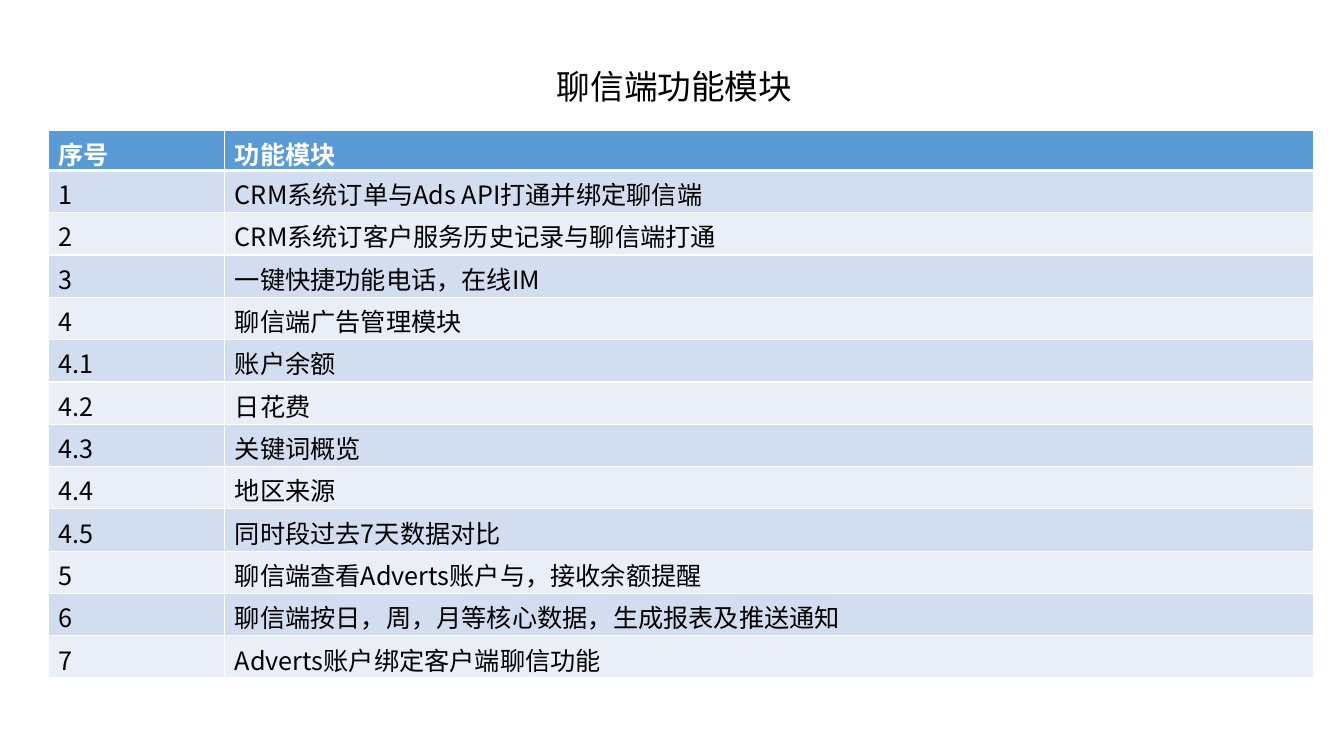
from dataclasses import dataclass

from lxml import etree
from pptx import Presentation, util as u
from pptx.dml.color import RGBColor
from pptx.enum import text
from pptx.oxml.ns import qn

FONT = "Noto Sans CJK SC"
WHITE = RGBColor(0xFF, 0xFF, 0xFF)
BLACK = RGBColor(0, 0, 0)
HEADER_BLUE = RGBColor(0x5B, 0x9B, 0xD5)
BANDS = (RGBColor(0xD2, 0xDE, 0xEF), RGBColor(0xEA, 0xEF, 0xF7))

COLUMN_WIDTHS = (1.75, 10.8)
HEADER_HEIGHT, ROW_HEIGHT = 0.33, 0.42


@dataclass
class Module:
    number: str
    name: str


@dataclass
class RowStyle:
    fill: RGBColor
    color: RGBColor
    bold: bool = False
    bottom: float = 1
    top: float = 1


HEADER = Module("序号", "功能模块")
MODULES = [
    Module("1", "CRM系统订单与Ads API打通并绑定聊信端"),
    Module("2", "CRM系统订客户服务历史记录与聊信端打通"),
    Module("3", "一键快捷功能电话，在线IM"),
    Module("4", "聊信端广告管理模块"),
    Module("4.1", "账户余额"),
    Module("4.2", "日花费"),
    Module("4.3", "关键词概览"),
    Module("4.4", "地区来源"),
    Module("4.5", "同时段过去7天数据对比"),
    Module("5", "聊信端查看Adverts账户与，接收余额提醒"),
    Module("6", "聊信端按日，周，月等核心数据，生成报表及推送通知"),
    Module("7", "Adverts账户绑定客户端聊信功能"),
]


def write(tf, words: str, size: float, color: RGBColor, bold: bool = False):
    """Fill the first paragraph and set its Latin and East Asian font."""
    p = tf.paragraphs[0]
    p.text = words
    p.font.size = u.Pt(size)
    p.font.bold = bold
    p.font.color.rgb = color
    p.font.name = FONT
    props = p._p.get_or_add_pPr().get_or_add_defRPr()
    etree.SubElement(props, qn("a:ea"), typeface=FONT)
    return p


def add_border(cell, side: str, width: float) -> None:
    line = etree.SubElement(cell._tc.get_or_add_tcPr(), qn(f"a:ln{side}"),
                            w=str(u.Pt(width)))
    fill = etree.SubElement(line, qn("a:solidFill"))
    etree.SubElement(fill, qn("a:srgbClr"), val=str(WHITE))


def fill_row(row, module: Module, style: RowStyle) -> None:
    for cell, words in zip(row.cells, (module.number, module.name)):
        write(cell.text_frame, words, 18, style.color, style.bold)
        for side, width in (("L", 1), ("R", 1), ("T", style.top), ("B", style.bottom)):
            add_border(cell, side, width)
        cell.fill.solid()
        cell.fill.fore_color.rgb = style.fill


prs = Presentation()
prs.slide_width, prs.slide_height = u.Inches(13.33), u.Inches(7.5)
s = prs.slides.add_slide(prs.slide_layouts[6])

# Title
sp = s.shapes.add_textbox(u.Inches(0.47), u.Inches(0.6), u.Inches(12.44), u.Inches(0.53))
tf = sp.text_frame
tf.word_wrap = True
tf.auto_size = text.MSO_AUTO_SIZE.SHAPE_TO_FIT_TEXT
write(tf, "聊信端功能模块", 24, BLACK).alignment = text.PP_ALIGN.CENTER

# Module table
height = HEADER_HEIGHT + ROW_HEIGHT * len(MODULES)
table = s.shapes.add_table(len(MODULES) + 1, len(COLUMN_WIDTHS), u.Inches(0.48), u.Inches(1.29),
                           u.Inches(sum(COLUMN_WIDTHS)), u.Inches(height)).table
for column, width in zip(table.columns, COLUMN_WIDTHS):
    column.width = u.Inches(width)

table.rows[0].height = u.Inches(HEADER_HEIGHT)
fill_row(table.rows[0], HEADER, RowStyle(HEADER_BLUE, WHITE, bold=True, bottom=3))
for i, module in enumerate(MODULES):
    row = table.rows[i + 1]
    row.height = u.Inches(ROW_HEIGHT)
    fill_row(row, module, RowStyle(BANDS[i % 2], BLACK, top=1 if i else 3))

prs.save("out.pptx")
